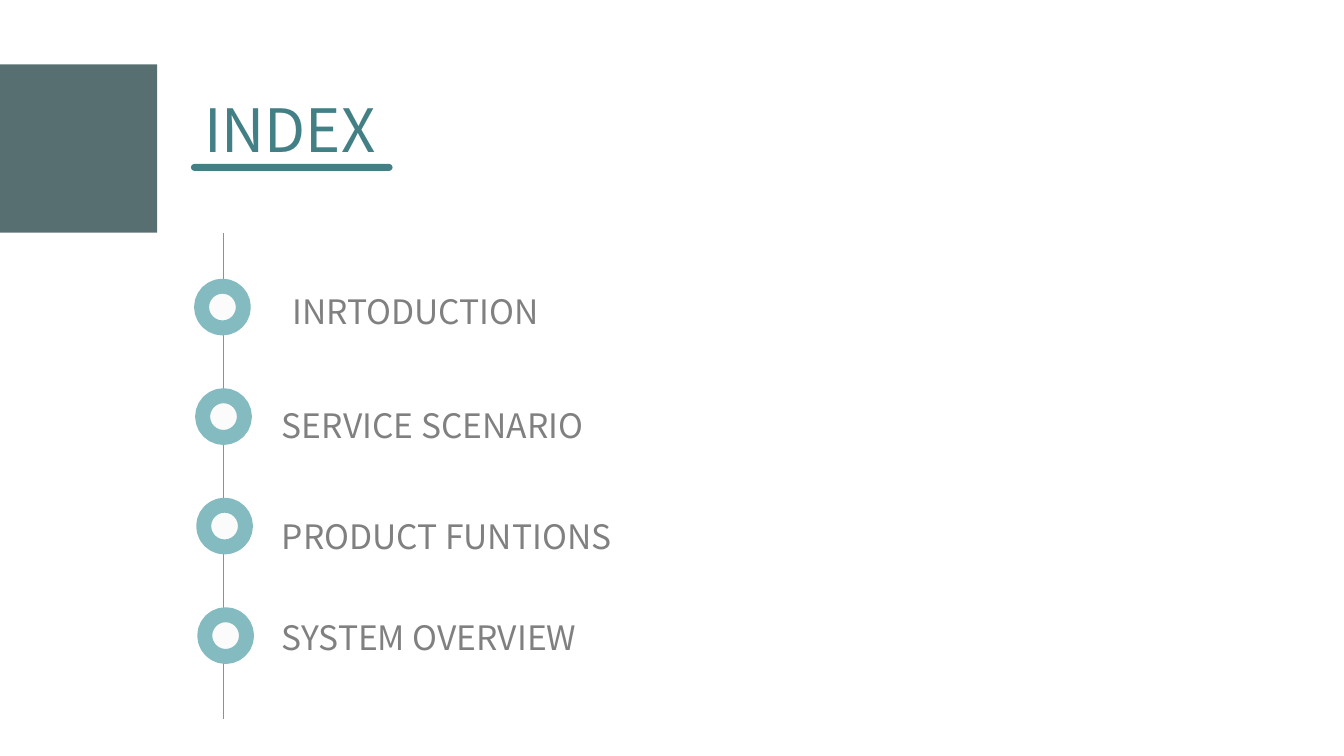
from lxml import etree
from pptx import Presentation
from pptx.dml.color import RGBColor
from pptx.enum import shapes, text
from pptx.oxml import ns
from pptx.util import Cm, Pt

TITLE = "INDEX"
ENTRIES = [
    ("INRTODUCTION", 5.28, 5.23),
    ("SERVICE SCENARIO", 5.08, 7.37),
    ("PRODUCT FUNTIONS", 5.08, 9.47),
    ("SYSTEM OVERVIEW", 5.08, 11.38),
]
COLORS = {
    "block": "214043",
    "title": "438086",
    "line": "5AA6AE",
    "ring": "83BBC1",
    "hole": "FBFBFB",
    "entry": "808080",
}
FONT = "Noto Sans CJK KR"
BLOCK_OPACITY = 75
RING_LEFT, RING_TOP, RING_SIZE = 3.81, 5.41, 0.79
RING_SHIFT, RING_PITCH = 0.02, 2.07


def color(name):
    return RGBColor.from_string(COLORS[name])


def add_shape(page, kind, left, top, width, height, fill):
    shape = page.shapes.add_shape(kind, Cm(left), Cm(top), Cm(width), Cm(height))
    shape.shadow.inherit = False
    shape.fill.solid()
    shape.fill.fore_color.rgb = color(fill)
    shape.line.fill.background()
    return shape


def add_text(page, words, left, top, width, height, size, fill, spacing=1.0):
    box = page.shapes.add_textbox(Cm(left), Cm(top), Cm(width), Cm(height))
    frame = box.text_frame
    frame.word_wrap = True
    frame.auto_size = text.MSO_AUTO_SIZE.SHAPE_TO_FIT_TEXT
    para = frame.paragraphs[0]
    para.text = words
    para.line_spacing = spacing
    para.font.name = FONT
    para.font.size = Pt(size)
    para.font.color.rgb = color(fill)


def add_heading(page):
    block = add_shape(page, shapes.MSO_SHAPE.RECTANGLE, 0, 1.22, 2.97, 3.18, "block")
    tint = block.fill._xPr.find(".//" + ns.qn("a:srgbClr"))
    etree.SubElement(tint, ns.qn("a:alpha"), val=str(BLOCK_OPACITY * 1000))
    add_text(page, TITLE, 3.61, 1.63, 13.54, 1.63, 32, "title")
    bar = add_shape(page, shapes.MSO_SHAPE.ROUNDED_RECTANGLE, 3.61, 3.1, 3.81, 0.13, "title")
    bar.adjustments[0] = 0.5


def add_timeline(page):
    line = page.shapes.add_connector(
        shapes.MSO_CONNECTOR.STRAIGHT, Cm(4.22), Cm(4.4), Cm(4.22), Cm(13.59))
    line.line.color.rgb = color("line")
    line.line.width = Pt(0.75)
    etree.SubElement(line._element.spPr, ns.qn("a:effectLst"))
    for index in range(len(ENTRIES)):
        ring = add_shape(
            page, shapes.MSO_SHAPE.OVAL, RING_LEFT + index * RING_SHIFT,
            RING_TOP + index * RING_PITCH, RING_SIZE, RING_SIZE, "hole")
        ring.line.color.rgb = color("ring")
        ring.line.width = Pt(8)
    for words, left, top in ENTRIES:
        add_text(page, words, left, top, 17.58, 1.07, 18, "entry", 1.2)


def main():
    deck = Presentation()
    deck.slide_width, deck.slide_height = Cm(25.4), Cm(14.29)
    page = deck.slides.add_slide(deck.slide_layouts[6])
    add_heading(page)
    add_timeline(page)
    deck.save("out.pptx")


if __name__ == "__main__":
    main()
